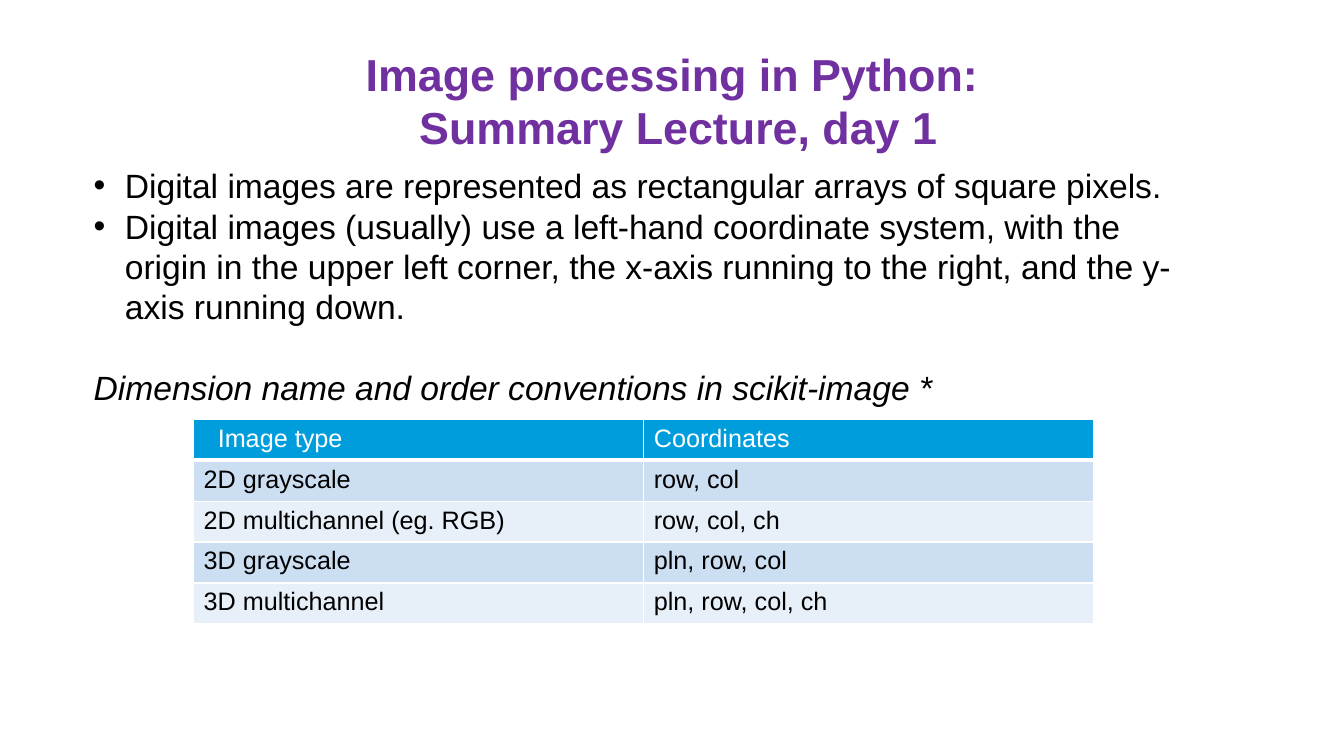
from pptx import Presentation, util as u
from pptx.dml.color import RGBColor
from pptx.enum import text
from pptx.oxml import parse_xml
from pptx.oxml.ns import nsdecls


def rgb(value):
    return RGBColor.from_string(value)


class Deck:
    """Holds the style and the current slide."""
    FONT = "Arial"
    PURPLE, BLACK, WHITE = "7030A0", "000000", "FFFFFF"
    HEADER, BANDS = "009DDD", ("CCDFF2", "E7EFF9")

    def __init__(self, prs):
        self.s = prs.slides.add_slide(prs.slide_layouts[6])

    def run(self, p, words, color, **fmt):
        r = p.add_run()
        r.text = words
        for name, value in {"name": self.FONT, **fmt}.items():
            setattr(r.font, name, value)
        r.font.color.rgb = rgb(color)

    def bullet(self, p):
        pPr = p._p.get_or_add_pPr()
        pPr.set("marL", str(u.Inches(0.31)))
        pPr.set("indent", str(-u.Inches(0.31)))
        pPr.append(parse_xml(f'<a:buFont {nsdecls("a")} typeface="Arial"/>'))
        pPr.append(parse_xml(f'<a:buChar {nsdecls("a")} char="•"/>'))

    def text_box(self, box, paragraphs, color, **fmt):
        """Each paragraph is (words, paragraph format, run format, bulleted)."""
        tf = self.s.shapes.add_textbox(*map(u.Inches, box)).text_frame
        tf.word_wrap = True
        for i, (words, layout, extra, bulleted) in enumerate(paragraphs):
            p = tf.add_paragraph() if i else tf.paragraphs[0]
            for name, value in layout.items():
                setattr(p, name, value)
            if bulleted:
                self.bullet(p)
            self.run(p, words, color, **{**fmt, **extra})

    def border(self, cell, side, width):
        cell._tc.get_or_add_tcPr().append(parse_xml(
            f'<a:{side} {nsdecls("a")} w="{u.Pt(width)}"><a:solidFill>'
            f'<a:srgbClr val="{self.WHITE}"/></a:solidFill></a:{side}>'))

    def table(self, box, rows, size):
        shape = self.s.shapes.add_table(len(rows), len(rows[0]), *map(u.Inches, box))
        for i, row in enumerate(rows):
            for j, words in enumerate(row):
                cell = shape.table.cell(i, j)
                for side in ("lnL", "lnR", "lnT", "lnB"):
                    heavy = (i, side) in ((0, "lnB"), (1, "lnT"))
                    self.border(cell, side, 3 if heavy else 1)
                cell.fill.solid()
                cell.fill.fore_color.rgb = rgb(self.BANDS[(i - 1) % 2] if i else self.HEADER)
                self.run(cell.text_frame.paragraphs[0], words,
                         self.BLACK if i else self.WHITE, size=size, bold=False)
        return shape.table


def main():
    prs = Presentation()
    prs.slide_width, prs.slide_height = u.Inches(13.33), u.Inches(7.5)
    deck = Deck(prs)

    # Title
    center = {"alignment": text.PP_ALIGN.CENTER}
    deck.text_box((1.26, 0.41, 10.94, 1.2), [
        ("Image processing in Python: ", center, {}, False),
        ("Summary Lecture, day 1", center, {}, False),
    ], deck.PURPLE, size=u.Pt(32), bold=True)

    # Key points and table heading
    deck.text_box((0.83, 1.59, 11.08, 2.5), [
        ("Digital images are represented as rectangular arrays of square pixels.",
         {}, {}, True),
        ("Digital images (usually) use a left-hand coordinate system, with the origin in "
         "the upper left corner, the x-axis running to the right, and the y-axis running down.",
         {}, {}, True),
        ("Dimension name and order conventions in scikit-image *",
         {"space_before": u.Pt(28.8)}, {"italic": True}, False),
    ], deck.BLACK, size=u.Pt(24))

    # Dimension conventions
    table = deck.table((1.92, 4.16, 8.93, 2.03), [
        ("Image type", "Coordinates"),
        ("2D grayscale", "row, col"),
        ("2D multichannel (eg. RGB)", "row, col, ch"),
        ("3D grayscale", "pln, row, col"),
        ("3D multichannel", "pln, row, col, ch"),
    ], u.Pt(18))
    table.cell(0, 0).margin_left = u.Inches(0.24)

    prs.save("out.pptx")


if __name__ == "__main__":
    main()
